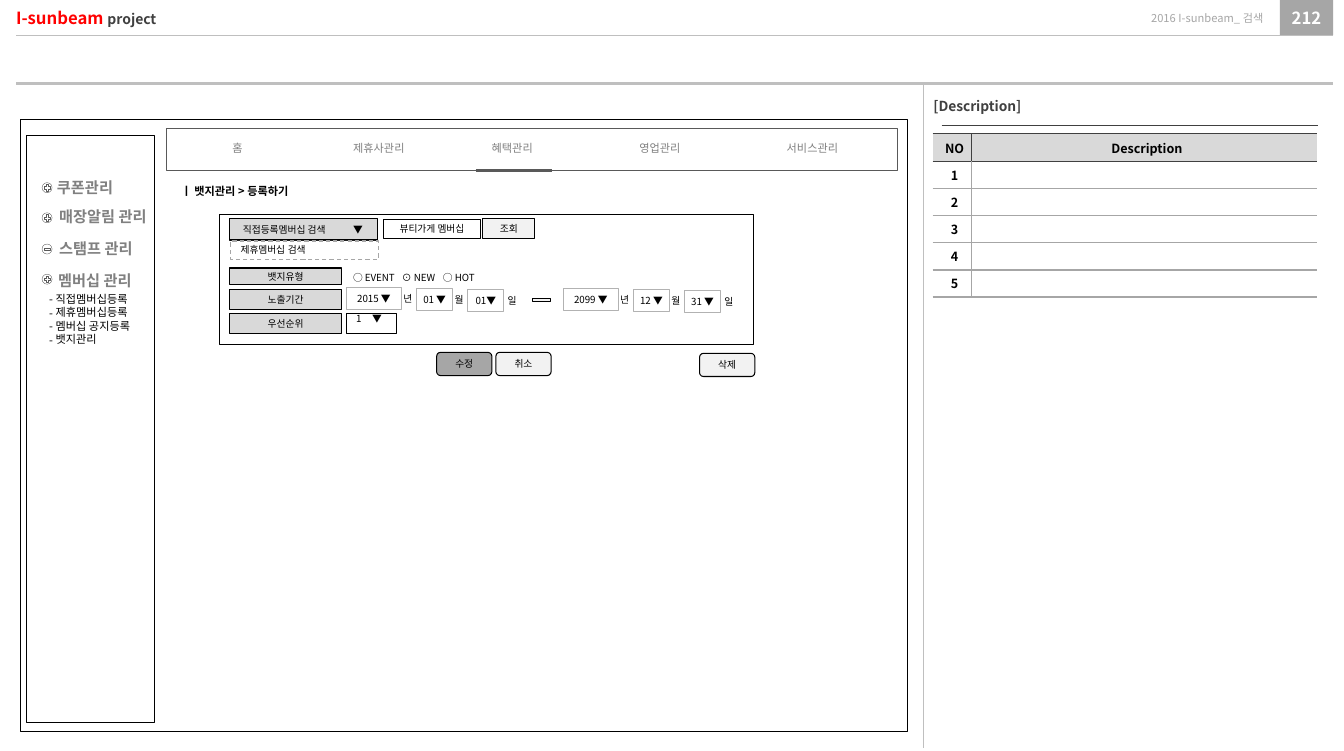
from dataclasses import dataclass

from lxml.etree import SubElement
from pptx import Presentation
from pptx.dml.color import RGBColor
from pptx.enum.dml import MSO_LINE
from pptx.enum.shapes import MSO_CONNECTOR, MSO_SHAPE as Preset
from pptx.enum.text import MSO_ANCHOR as Anchor, MSO_AUTO_SIZE, PP_ALIGN as Align
from pptx.oxml.ns import qn
from pptx.util import Pt


@dataclass(frozen=True)
class Theme:
    font: str = "Noto Sans CJK KR"
    latin: str = "Arial"
    black: str = "000000"
    white: str = "FFFFFF"
    red: str = "FF0000"
    dark: str = "404040"
    outline: str = "595959"
    muted: str = "808080"
    mid: str = "A6A6A6"
    field: str = "B2B2B2"
    rule: str = "BFBFBF"
    label: str = "D9D9D9"
    pale: str = "F2F2F2"
    brand: float = 12
    menu: float = 10.9
    project: float = 10
    heading: float = 9.9
    table: float = 9
    body: float = 8
    form: float = 7


def apply(target, formats):
    for name, value in formats.items():
        setattr(target, name, value)


class Wireframe:
    def __init__(self, theme, width, height):
        self.theme = theme
        self.deck = Presentation()
        apply(self.deck, {"slide_width": Pt(width), "slide_height": Pt(height)})
        self.slide = self.deck.slides.add_slide(self.deck.slide_layouts[1])
        self.shapes = self.slide.shapes

    def add_words(self, paragraph, text, size, color, bold=False, font=None):
        run = paragraph.add_run()
        name = font or self.theme.font
        run.text = text
        apply(run.font, {"name": name, "size": Pt(size), "bold": bold})
        run.font.color.rgb = RGBColor.from_string(color)
        SubElement(run.font._element, qn("a:ea"), typeface=name)

    def caption(self, shape, text, size=None, color=None, bold=False, align=Align.CENTER,
                inset=0, anchor=Anchor.MIDDLE, tabs=(), font=None):
        frame = shape.text_frame
        apply(frame, {"word_wrap": True, "auto_size": MSO_AUTO_SIZE.NONE,
                      "vertical_anchor": anchor, "margin_left": Pt(inset),
                      "margin_right": 0, "margin_top": 0, "margin_bottom": 0})
        paragraph = frame.paragraphs[0]
        paragraph.alignment = align
        if tabs:
            stops = SubElement(paragraph._p.get_or_add_pPr(), qn("a:tabLst"))
            for stop in tabs:
                SubElement(stops, qn("a:tab"), pos=str(Pt(stop)), algn="l")
        self.add_words(paragraph, text, size or self.theme.form, color or self.theme.black, bold, font)
        return paragraph

    def box(self, at, fill=None, line=None, weight=0.75, preset=Preset.RECTANGLE, dash=None):
        shape = self.shapes.add_shape(preset, *map(Pt, at))
        shape.shadow.inherit = False
        if fill:
            shape.fill.solid()
            shape.fill.fore_color.rgb = RGBColor.from_string(fill)
        else:
            shape.fill.background()
        if line:
            shape.line.color.rgb = RGBColor.from_string(line)
            apply(shape.line, {"width": Pt(weight), "dash_style": dash})
        else:
            shape.line.fill.background()
        return shape

    def text(self, at, text, **formats):
        return self.caption(self.shapes.add_textbox(*map(Pt, at)), text, **formats)

    def line(self, ends, color, weight):
        line = self.shapes.add_connector(MSO_CONNECTOR.STRAIGHT, *map(Pt, ends))
        line.line.color.rgb = RGBColor.from_string(color)
        line.line.width = Pt(weight)
        SubElement(line._element.spPr, qn("a:effectLst"))

    def place(self, placeholder, at):
        apply(placeholder, dict(zip(("left", "top", "width", "height"), map(Pt, at))))
        return placeholder

    def title(self, at, brand, project):
        t = self.theme
        title = self.place(self.shapes.title, at)
        paragraph = self.caption(title, brand, size=t.brand, color=t.red, bold=True, align=Align.LEFT)
        self.add_words(paragraph, project, t.project, t.dark, True)

    def bullets(self, at, items, indent, pitch):
        t = self.theme
        body = self.place(self.slide.placeholders[1], at)
        frame = body.text_frame
        apply(frame, {"word_wrap": True, "auto_size": MSO_AUTO_SIZE.NONE,
                      "vertical_anchor": Anchor.TOP, "margin_left": Pt(7.2), "margin_right": 0,
                      "margin_top": Pt(3.6), "margin_bottom": 0})
        for index, item in enumerate(items):
            paragraph = frame.add_paragraph() if index else frame.paragraphs[0]
            properties = paragraph._p.get_or_add_pPr()
            properties.set("marL", str(Pt(indent)))
            properties.set("indent", str(-Pt(indent)))
            SubElement(properties, qn("a:buFont"), typeface=t.font)
            SubElement(properties, qn("a:buChar"), char="-")
            apply(paragraph, {"alignment": Align.LEFT, "space_before": Pt(0),
                              "line_spacing": Pt(pitch)})
            self.add_words(paragraph, item, t.body, t.black)

    def border(self, cell, sides):
        properties = cell._tc.get_or_add_tcPr()
        for position, side in enumerate(("lnL", "lnR", "lnT", "lnB")):
            color = sides.get(side)
            edge = properties.makeelement(qn(f"a:{side}"), {"w": str(Pt(1) if color else 0)})
            if color:
                SubElement(SubElement(edge, qn("a:solidFill")), qn("a:srgbClr"), val=color)
            else:
                SubElement(edge, qn("a:noFill"))
            properties.insert(position, edge)

    def table(self, at, rows, widths, heights):
        t = self.theme
        area = (*at, sum(widths), sum(heights))
        table = self.shapes.add_table(len(rows), len(widths), *map(Pt, area)).table
        for column, width in zip(table.columns, widths):
            column.width = Pt(width)
        for r, (row, height) in enumerate(zip(rows, heights)):
            table.rows[r].height = Pt(height)
            for c, value in enumerate(row):
                cell = table.cell(r, c)
                apply(cell, {"vertical_anchor": Anchor.MIDDLE, "margin_left": Pt(3.6),
                             "margin_right": 0, "margin_top": 0, "margin_bottom": 0})
                paragraph = cell.text_frame.paragraphs[0]
                paragraph.alignment = Align.CENTER
                if value:
                    self.add_words(paragraph, value, t.table, t.black, True)
                else:
                    SubElement(paragraph._p, qn("a:endParaRPr"), sz=str(int(t.table * 100)))
                if r:
                    cell.fill.background()
                else:
                    cell.fill.solid()
                    cell.fill.fore_color.rgb = RGBColor.from_string(t.label)
                edge = t.mid if r else t.dark
                self.border(cell, {"lnT": t.dark if r < 2 else t.mid, "lnB": edge,
                                   "lnL" if c else "lnR": edge})


def main():
    t = Theme()
    page = Wireframe(t, 964, 538.5)
    left = {"align": Align.LEFT, "inset": 7.2}

    page.title((11.5, 0, 147.6, 25.2), "I-sunbeam ", "project")
    page.text((743, 0, 163.4, 25.2), "2016 I-sunbeam_ 검색", size=t.body, color=t.mid, align=Align.RIGHT)
    page.caption(page.box((918, 0, 38.2, 25.2), t.mid), "212", size=t.brand, color=t.white, bold=True)
    for ends, color, weight in (((11.5, 59.8, 956.2, 59.8), t.rule, 2.25),
                                ((11.5, 25.2, 956.2, 25.2), t.rule, 0.25),
                                ((662.4, 61.2, 662.4, 536.4), t.rule, 0.75),
                                ((675.4, 90, 945.4, 90), t.dark, 0.5)):
        page.line(ends, color, weight)

    page.text((662.4, 66.2, 124.6, 19.4), "[Description]", size=t.heading, color=t.dark, bold=True, **left)
    rows = [("NO", "Description")] + [(str(number), "") for number in range(1, 6)]
    page.table((668.9, 95.8), rows, (28.1, 247.7), [20.2] + [19.4] * 5)

    page.box((14.4, 85.7, 636.5, 439.2), line=t.black)
    page.box((119.5, 92.2, 524.2, 30.2), t.white, t.outline, 0.5)
    for x, tab in ((131.8, "홈"), (233.3, "제휴사관리"), (329, "혜택관리"),
                   (434.9, "영업관리"), (544.3, "서비스관리")):
        page.text((x, 97.9, 77, 16.6), tab, size=t.body, color=t.muted)
    page.line((341.3, 122.4, 396, 122.4), t.outline, 2.25)
    page.text((123.1, 128.9, 118.1, 16.6), "ㅣ 뱃지관리 > 등록하기", size=t.body, bold=True, **left)

    page.box((18.7, 97.2, 92.2, 421.2), line=t.black)
    for x, y, icon_y, sign, entry in ((33.8, 124.6, 131, Preset.MATH_PLUS, "쿠폰관리"),
                                      (35.3, 145.4, 152.6, Preset.MATH_PLUS, "매장알림 관리"),
                                      (35.3, 167.8, 175, Preset.MATH_MINUS, "스탬프 관리"),
                                      (34.6, 190.8, 196.6, Preset.MATH_PLUS, "멤버십 관리")):
        page.text((x, y, 92.2, 20.2), entry, size=t.menu, color=t.muted, bold=True, **left)
        page.box((30.2, icon_y, 7.2, 7.2), t.white, t.outline, 0.25, Preset.OVAL)
        page.box((30.5, icon_y + 0.3, 6.5, 6.5), None, t.outline, 0.25, sign)
    page.bullets((28.1, 205.9, 103, 46.1),
                 ("직접멤버십등록", "제휴멤버십등록", "멤버십 공지등록", "뱃지관리"), 4.6, 9.6)

    page.box((157.7, 154.1, 383, 92.9), line=t.black)
    combo = page.box((164.9, 157, 105.8, 15.1), t.label, t.black)
    page.caption(combo, "직접등록멤버십 검색\t▼", align=Align.LEFT, inset=9.4, tabs=(79,))
    option = page.box((165.6, 172.8, 105.8, 13), t.white, t.mid, dash=MSO_LINE.DASH)
    page.caption(option, "제휴멤버십 검색", font=t.latin, **left)
    page.caption(page.box((275, 157.7, 69.8, 13), t.white, t.black), "뷰티가게 멤버십")
    page.caption(page.box((346.3, 157, 37.4, 13.7), t.pale, t.black), "조회")

    for y, height, name in ((192.2, 12.2, "뱃지유형"), (207.4, 14.4, "노출기간"), (224.6, 14.4, "우선순위")):
        page.caption(page.box((164.9, y, 79.9, height), t.label, t.black), name)
    page.text((246.2, 190.8, 129.6, 15.8), "○ EVENT\t⊙ NEW\t○ HOT", tabs=(35.1, 64.5), **left)

    for x, y, values in ((248.4, 205.9, ("2015 ▼", "01 ▼", "01▼")),
                         (403.9, 206.6, ("2099 ▼", "12 ▼", "31 ▼"))):
        parts = zip(values, "년월일", (0, 50.4, 87.1), (39.6, 25.9, 25.9), (33.8, 70.6, 108.7))
        for step, (value, unit, dx, width, unit_dx) in enumerate(parts):
            top = y + 0.7 * step
            page.caption(page.box((x + dx, top, width, 15.8), t.white, t.field, 0.5), value)
            page.text((x + unit_dx, top, 21.6, 15.8), unit, **left)
    page.box((379.4, 210.2, 18, 9.4), t.pale, t.black, preset=Preset.MATH_MINUS)
    priority = page.box((248.4, 224.6, 36, 14.4), t.white, t.black)
    page.caption(priority, "1\t▼", anchor=Anchor.TOP, tabs=(11.5,), **left)

    for x, y, fill, action in ((313.2, 252.7, t.mid, "수정"), (355.7, 252.7, t.pale, "취소"),
                               (501.8, 253.4, t.pale, "삭제")):
        button = page.box((x, y, 39.6, 16.6), fill, t.black, preset=Preset.ROUNDED_RECTANGLE)
        page.caption(button, action)

    page.deck.save("out.pptx")


if __name__ == "__main__":
    main()
